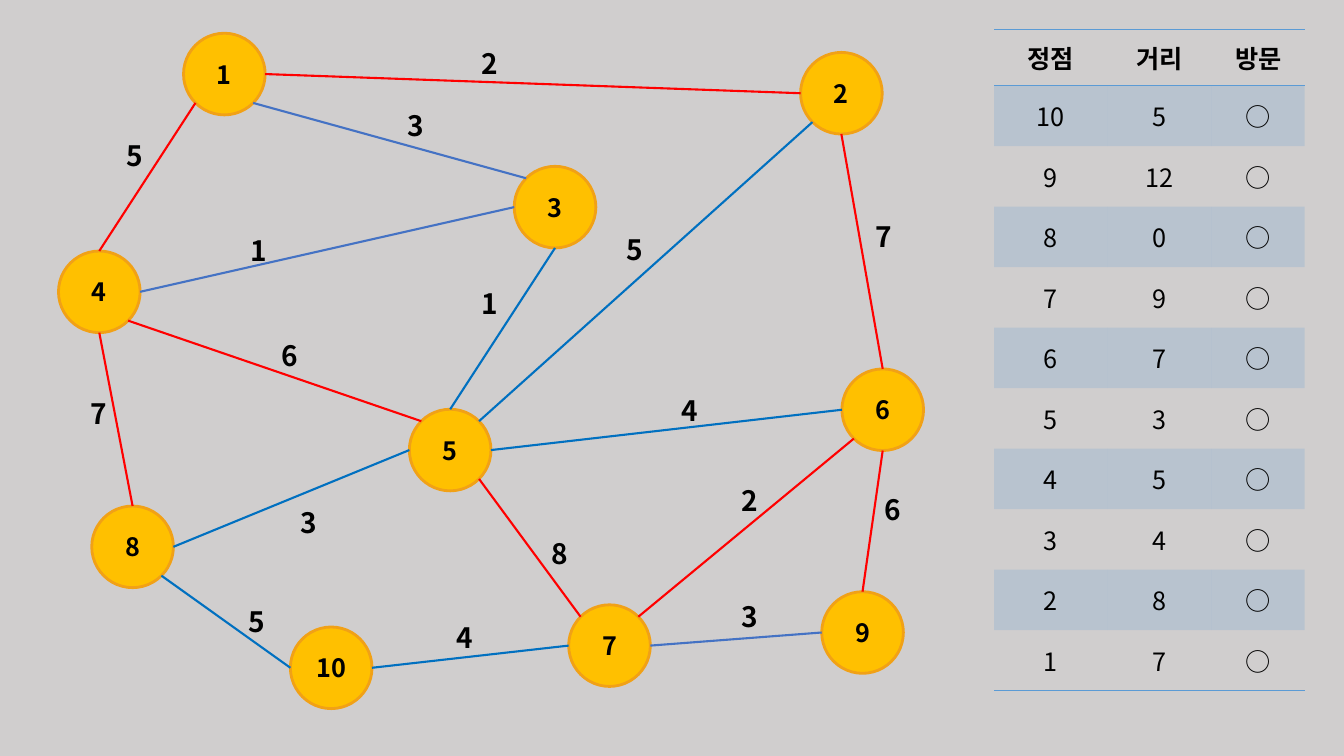
from dataclasses import dataclass
from enum import IntEnum
from math import cos, pi, sin

from lxml import etree
from pptx import Presentation
from pptx.dml.color import RGBColor
from pptx.enum import shapes, text
from pptx.oxml import ns
from pptx.util import Inches, Pt

FONT = "Noto Sans CJK KR"
BLACK = RGBColor(0x00, 0x00, 0x00)
GRAY = RGBColor(0xD0, 0xCE, 0xCE)
GOLD = RGBColor(0xFF, 0xC0, 0x00)
ORANGE = RGBColor(0xF1, 0xA1, 0x16)
RED = RGBColor(0xFF, 0x00, 0x00)
BLUE = RGBColor(0x00, 0x70, 0xC0)
INDIGO = RGBColor(0x44, 0x72, 0xC4)
SKY = RGBColor(0x5B, 0x9B, 0xD5)

DIAMETER = 0.81
PLAIN_TABLE = "{2D5ABB26-0587-4C30-8999-92F81FD0307C}"


class Site(IntEnum):
    """Connection sites of an ellipse, counterclockwise from the top."""
    TOP = 0
    TOP_LEFT = 1
    LEFT = 2
    BOTTOM_LEFT = 3
    BOTTOM = 4
    BOTTOM_RIGHT = 5
    RIGHT = 6
    TOP_RIGHT = 7


@dataclass
class Node:
    number: int
    left: float
    top: float

    def point(self, site: Site) -> tuple[float, float]:
        angle = pi / 2 + site * pi / 4
        r = DIAMETER / 2
        return self.left + r + r * cos(angle), self.top + r - r * sin(angle)


@dataclass
class Edge:
    start: int
    start_site: Site
    end: int
    end_site: Site
    color: RGBColor
    weight: int
    label_left: float
    label_top: float


NODES = {n.number: n for n in (
    Node(1, 1.82, 0.33), Node(2, 7.94, 0.52), Node(3, 5.1, 1.65),
    Node(4, 0.58, 2.49), Node(5, 4.06, 4.06), Node(6, 8.35, 3.66),
    Node(7, 5.64, 6), Node(8, 0.91, 5.02), Node(9, 8.15, 5.87),
    Node(10, 2.88, 6.22),
)}

EDGES = [
    Edge(4, Site.TOP, 1, Site.BOTTOM_LEFT, RED, 5, 1.16, 1.32),
    Edge(3, Site.TOP_LEFT, 1, Site.BOTTOM_RIGHT, INDIGO, 3, 3.94, 1.03),
    Edge(2, Site.LEFT, 1, Site.RIGHT, RED, 2, 4.68, 0.41),
    Edge(2, Site.BOTTOM, 6, Site.TOP, RED, 7, 8.59, 2.13),
    Edge(2, Site.BOTTOM_LEFT, 5, Site.TOP_RIGHT, BLUE, 5, 6.12, 2.26),
    Edge(3, Site.BOTTOM, 5, Site.TOP, BLUE, 1, 4.68, 2.79),
    Edge(3, Site.LEFT, 4, Site.RIGHT, INDIGO, 1, 2.39, 2.27),
    Edge(4, Site.BOTTOM, 8, Site.TOP, RED, 7, 0.8, 3.88),
    Edge(5, Site.LEFT, 8, Site.RIGHT, BLUE, 3, 2.88, 4.97),
    Edge(5, Site.TOP_LEFT, 4, Site.BOTTOM_RIGHT, RED, 6, 2.69, 3.31),
    Edge(5, Site.BOTTOM_RIGHT, 7, Site.TOP_LEFT, RED, 8, 5.37, 5.27),
    Edge(6, Site.LEFT, 5, Site.RIGHT, BLUE, 4, 6.66, 3.85),
    Edge(9, Site.TOP, 6, Site.BOTTOM, RED, 6, 8.67, 4.84),
    Edge(6, Site.BOTTOM_LEFT, 7, Site.TOP_RIGHT, RED, 2, 7.26, 4.75),
    Edge(10, Site.RIGHT, 7, Site.LEFT, BLUE, 4, 4.43, 6.11),
    Edge(10, Site.LEFT, 8, Site.BOTTOM_RIGHT, BLUE, 5, 2.37, 5.95),
    Edge(9, Site.LEFT, 7, Site.RIGHT, INDIGO, 3, 7.26, 5.9),
]

HEADER = ("정점", "거리", "방문")
DISTANCES = {10: 5, 9: 12, 8: 0, 7: 9, 6: 7, 5: 3, 4: 5, 3: 4, 2: 8, 1: 7}
COLUMN_WIDTHS = (1.12, 1.04, 0.92)
HEADER_HEIGHT, ROW_HEIGHT = 0.56, 0.6


def write(tf, words: str, *, size: float = 18, bold: bool = False,
          align=text.PP_ALIGN.CENTER) -> None:
    p = tf.paragraphs[0]
    p.alignment = align
    r = p.add_run()
    r.text = words
    r.font.size = Pt(size)
    r.font.bold = bold
    r.font.name = FONT
    r.font.color.rgb = BLACK
    etree.SubElement(r.font._element, ns.qn("a:ea"), typeface=FONT)


def draw_node(s, node: Node):
    sp = s.shapes.add_shape(
        shapes.MSO_SHAPE.OVAL, Inches(node.left), Inches(node.top),
        Inches(DIAMETER), Inches(DIAMETER))
    sp.shadow.inherit = False
    sp.fill.solid()
    sp.fill.fore_color.rgb = GOLD
    sp.line.color.rgb = ORANGE
    sp.line.width = Pt(2)
    tf = sp.text_frame
    tf.margin_left = tf.margin_right = 0
    tf.vertical_anchor = text.MSO_ANCHOR.MIDDLE
    write(tf, str(node.number), bold=True)
    return sp


def draw_edge(s, edge: Edge, circles: dict) -> None:
    x1, y1 = NODES[edge.start].point(edge.start_site)
    x2, y2 = NODES[edge.end].point(edge.end_site)
    line = s.shapes.add_connector(
        shapes.MSO_CONNECTOR.STRAIGHT,
        Inches(x1), Inches(y1), Inches(x2), Inches(y2))
    line.line.color.rgb = edge.color
    line.line.width = Pt(1.5)
    etree.SubElement(line._element.spPr, ns.qn("a:effectLst"))

    # Attach both ends to their circles
    ends = line._element.nvCxnSpPr.cNvCxnSpPr
    for tag, number, site in (("a:stCxn", edge.start, edge.start_site),
                              ("a:endCxn", edge.end, edge.end_site)):
        etree.SubElement(ends, ns.qn(tag), id=str(circles[number].shape_id),
                         idx=str(int(site)))

    label = s.shapes.add_textbox(Inches(edge.label_left), Inches(edge.label_top),
                                 Inches(0.36), Inches(0.44))
    tf = label.text_frame
    tf.word_wrap = False
    tf.auto_size = text.MSO_AUTO_SIZE.SHAPE_TO_FIT_TEXT
    write(tf, str(edge.weight), size=20, bold=True, align=text.PP_ALIGN.LEFT)


def add_border(cell, tag: str) -> None:
    ln = etree.SubElement(cell._tc.get_or_add_tcPr(), ns.qn(tag), w=str(Pt(1)))
    fill = etree.SubElement(ln, ns.qn("a:solidFill"))
    etree.SubElement(fill, ns.qn("a:srgbClr"), val=str(SKY))


def draw_table(s) -> None:
    rows = [HEADER] + [(str(v), str(d), "○") for v, d in DISTANCES.items()]
    frame = s.shapes.add_table(
        len(rows), len(HEADER), Inches(9.86), Inches(0.29),
        Inches(sum(COLUMN_WIDTHS)),
        Inches(HEADER_HEIGHT + ROW_HEIGHT * len(DISTANCES)))
    table = frame.table
    table._tbl.tblPr.find(ns.qn("a:tableStyleId")).text = PLAIN_TABLE
    table.horz_banding = False
    for column, width in zip(table.columns, COLUMN_WIDTHS):
        column.width = Inches(width)

    for i, row in enumerate(rows):
        table.rows[i].height = Inches(ROW_HEIGHT if i else HEADER_HEIGHT)
        for j, words in enumerate(row):
            cell = table.cell(i, j)
            cell.vertical_anchor = text.MSO_ANCHOR.MIDDLE
            write(cell.text_frame, words, bold=i == 0)
            if i == 0:
                add_border(cell, "a:lnT")
            if i in (0, len(rows) - 1):
                add_border(cell, "a:lnB")
            if i % 2:
                cell.fill.solid()
                cell.fill.fore_color.rgb = SKY
                color = cell._tc.tcPr.find(".//" + ns.qn("a:srgbClr"))
                etree.SubElement(color, ns.qn("a:alpha"), val="20000")
            else:
                cell.fill.background()


def main() -> None:
    prs = Presentation()
    prs.slide_width, prs.slide_height = Inches(13.33), Inches(7.5)
    s = prs.slides.add_slide(prs.slide_layouts[6])
    s.background.fill.solid()
    s.background.fill.fore_color.rgb = GRAY

    # Graph
    circles = {number: draw_node(s, node) for number, node in NODES.items()}
    for edge in EDGES:
        draw_edge(s, edge, circles)

    # Distance table
    draw_table(s)
    prs.save("out.pptx")


if __name__ == "__main__":
    main()
